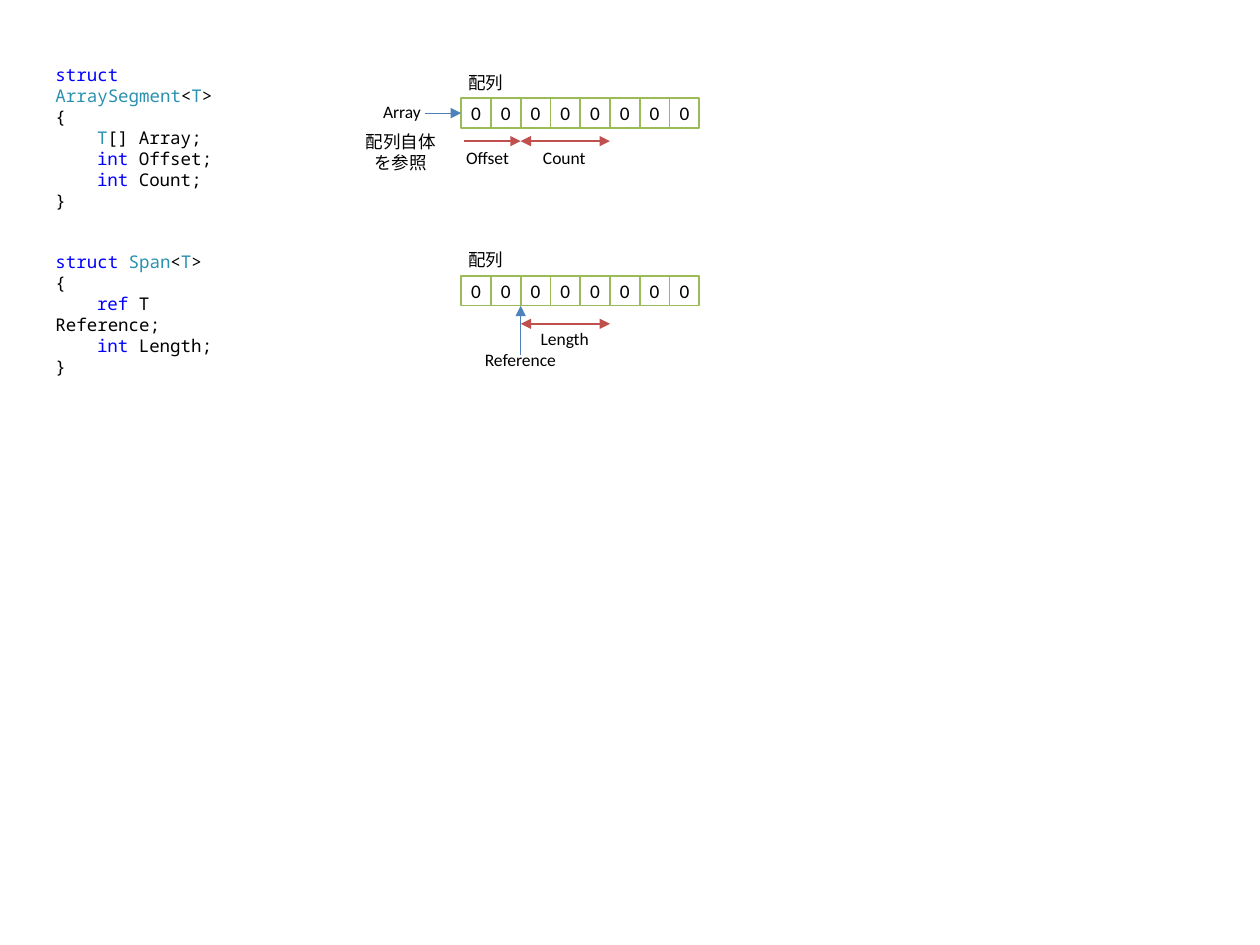
import pptx
import pptx.util
import pptx.dml.color
import pptx.enum.shapes
import pptx.enum.text
import pptx.oxml.ns
import lxml.etree

Inches, Pt = pptx.util.Inches, pptx.util.Pt
RGBColor = pptx.dml.color.RGBColor
Align = pptx.enum.text.PP_ALIGN

BLACK = RGBColor(0x00, 0x00, 0x00)
WHITE = RGBColor(0xFF, 0xFF, 0xFF)
KEYWORD = RGBColor(0x00, 0x00, 0xFF)
TYPE_NAME = RGBColor(0x2B, 0x91, 0xAF)
CELL_EDGE = RGBColor(0x9B, 0xBB, 0x59)
POINTER = RGBColor(0x4F, 0x81, 0xBD)
RANGE = RGBColor(0xC0, 0x50, 0x4D)

# The arrays set the grid: one column or row is one cell
CELL_COUNT = 8
CELL = 1.89 / CELL_COUNT
ARRAY_LEFT = 3.66
SEGMENT_TOP, SPAN_TOP = 0.78, 2.19
LABEL_ROWS = 1.05
INSET = 0.04
CODE_LEFT = 0.4
CODE_INDENT = 0.33

COLOURS = {"k": KEYWORD, "t": TYPE_NAME, "": BLACK}
# A code line is (indent level, [(colour key, text), ...])
SEGMENT_CODE = [
    (0, [("k", "struct "), ("t", "ArraySegment"), ("", "<"), ("t", "T"), ("", ">")]),
    (0, [("", "{")]),
    (1, [("t", "T"), ("", "[] Array;")]),
    (1, [("k", "int"), ("", " Offset;")]),
    (1, [("k", "int"), ("", " Count;")]),
    (0, [("", "}")]),
]
SPAN_CODE = [
    (0, [("k", "struct "), ("t", "Span"), ("", "<"), ("t", "T"), ("", ">")]),
    (0, [("", "{")]),
    (1, [("k", "ref"), ("", " T Reference;")]),
    (1, [("k", "int"), ("", " Length;")]),
    (0, [("", "}")]),
]


def grid_point(top, col, row):
    return Inches(ARRAY_LEFT + col * CELL), Inches(top + row * CELL)


def set_insets(frame):
    frame.margin_left = frame.margin_right = Inches(INSET)
    frame.margin_top = frame.margin_bottom = Inches(INSET)


def style_para(para, font_name, size, align=Align.LEFT):
    para.alignment = align
    para.font.name = font_name
    para.font.size = Pt(size)


def add_code(page, top, width, height, lines):
    box = page.shapes.add_textbox(Inches(CODE_LEFT), Inches(top), Inches(width), Inches(height))
    frame = box.text_frame
    set_insets(frame)
    frame.word_wrap = True
    for number, (level, pieces) in enumerate(lines):
        para = frame.add_paragraph() if number else frame.paragraphs[0]
        style_para(para, "Noto Sans Mono", 10)
        # First-line indent only, so wrapped text returns to the margin
        props = para._p.get_or_add_pPr()
        props.set("marL", "0")
        props.set("indent", str(Inches(level * CODE_INDENT)))
        for key, text in pieces:
            span = para.add_run()
            span.text = text
            span.font.color.rgb = COLOURS[key]


def add_label(page, top, col, row, cols, text, align=Align.LEFT):
    lines = text.split("\n")
    left, upper = grid_point(top, col, row)
    height = Inches(CELL * (LABEL_ROWS + 0.72 * (len(lines) - 1)))
    box = page.shapes.add_textbox(left, upper, Inches(cols * CELL), height)
    frame = box.text_frame
    set_insets(frame)
    frame.word_wrap = False
    frame.text = text
    for para in frame.paragraphs:
        style_para(para, "Calibri", 10, align)
        para.font.color.rgb = BLACK


def add_arrow(page, top, start, end, colour, weight, both=False):
    line = page.shapes.add_connector(
        pptx.enum.shapes.MSO_CONNECTOR.STRAIGHT,
        *grid_point(top, *start), *grid_point(top, *end))
    line.line.color.rgb = colour
    line.line.width = Pt(weight)
    outline = line.line._get_or_add_ln()
    for tag in (["a:headEnd"] if both else []) + ["a:tailEnd"]:
        lxml.etree.SubElement(outline, pptx.oxml.ns.qn(tag), type="triangle")
    lxml.etree.SubElement(line._element.spPr, pptx.oxml.ns.qn("a:effectLst"))


def add_array(page, top):
    for col in range(CELL_COUNT):
        box = page.shapes.add_shape(
            pptx.enum.shapes.MSO_SHAPE.RECTANGLE,
            *grid_point(top, col, 0), Inches(CELL), Inches(CELL))
        box.shadow.inherit = False
        box.fill.solid()
        box.fill.fore_color.rgb = WHITE
        box.line.color.rgb = CELL_EDGE
        box.line.width = Pt(1)
        frame = box.text_frame
        set_insets(frame)
        frame.vertical_anchor = pptx.enum.text.MSO_ANCHOR.MIDDLE
        frame.text = "0"
        style_para(frame.paragraphs[0], "Calibri", 11, Align.CENTER)
        frame.paragraphs[0].font.color.rgb = BLACK
    add_label(page, top, 0.08, -1.06, 1.53, "配列")


def main():
    deck = pptx.Presentation()
    deck.slide_width, deck.slide_height = Inches(10), Inches(7.5)
    page = deck.slides.add_slide(deck.slide_layouts[6])

    # ArraySegment: reference to the whole array, plus offset and count
    add_code(page, 0.47, 1.78, 1.09, SEGMENT_CODE)
    add_array(page, SEGMENT_TOP)
    add_arrow(page, SEGMENT_TOP, (-1.23, 0.5), (0, 0.5), POINTER, 0.5)
    add_label(page, SEGMENT_TOP, -3.39, 0.93, 2.71, "配列自体\nを参照", Align.CENTER)
    add_arrow(page, SEGMENT_TOP, (0.08, 1.44), (2, 1.44), RANGE, 1.5)
    add_arrow(page, SEGMENT_TOP, (5, 1.44), (2, 1.44), RANGE, 1.5, both=True)
    add_label(page, SEGMENT_TOP, 0, 1.48, 1.82, "Offset")
    add_label(page, SEGMENT_TOP, 2.58, 1.48, 1.78, "Count")
    add_label(page, SEGMENT_TOP, -2.79, -0.08, 1.65, "Array")

    # Span: reference to the first element, plus length
    add_code(page, 1.95, 1.62, 0.92, SPAN_CODE)
    add_array(page, SPAN_TOP)
    add_arrow(page, SPAN_TOP, (5, 1.61), (2, 1.61), RANGE, 1.5, both=True)
    add_label(page, SPAN_TOP, 2.5, 1.57, 1.99, "Length")
    add_arrow(page, SPAN_TOP, (2, 2.67), (2, 1), POINTER, 0.5)
    add_label(page, SPAN_TOP, 0.59, 2.29, 2.8, "Reference", Align.CENTER)

    deck.save("out.pptx")


main()
